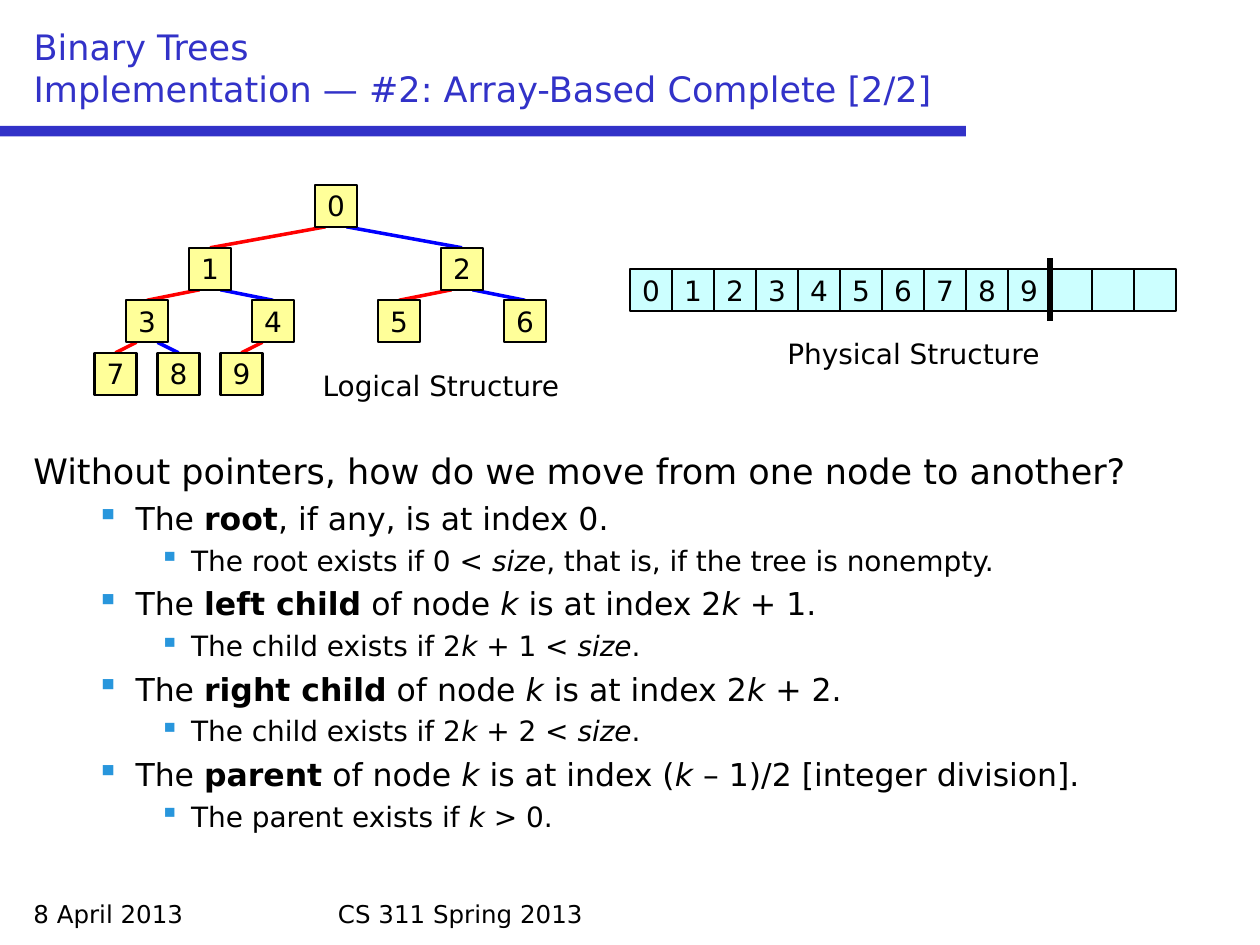
from dataclasses import dataclass

from lxml import etree
from pptx import Presentation
from pptx import util as u
from pptx.dml.color import RGBColor
from pptx.enum import shapes, text
from pptx.oxml import ns


@dataclass(frozen=True)
class Theme:
    font: str = "DejaVu Sans"
    ink: str = "000000"
    accent: str = "3232C8"
    bullet: str = "2896DC"
    node: str = "FFFF99"
    cell: str = "CCFFFF"
    left_edge: str = "FF0000"
    right_edge: str = "0000FF"
    heading: int = 20
    point: int = 18
    detail: int = 16
    label: int = 16
    footer: int = 14


THEME = Theme()
SIDE = 4  # side of a node or an array cell, in grid units
NODE_COUNT = 10
CELL_COUNT = 13
LEVEL_TOPS = (17.6, 23.6, 28.6, 33.6)

# Text size, left margin (cm), hanging indent (cm), space before (pt)
LEVELS = {
    1: (THEME.point, 2.06, 0.79, 4.2),
    2: (THEME.detail, 3.18, 0.64, 3.7),
}
# *bold* and _italic_
POINTS = [
    (1, "The *root*, if any, is at index 0."),
    (2, "The root exists if 0 < _size_, that is, if the tree is nonempty."),
    (1, "The *left child* of node _k_ is at index 2_k_ + 1."),
    (2, "The child exists if 2_k_ + 1 < _size_."),
    (1, "The *right child* of node _k_ is at index 2_k_ + 2."),
    (2, "The child exists if 2_k_ + 2 < _size_."),
    (1, "The *parent* of node _k_ is at index (_k_ – 1)/2 [integer division]."),
    (2, "The parent exists if _k_ > 0."),
]


def grid(count):
    """Length of a number of grid units; twelve units make 2.54 cm."""
    return u.Cm(count * 2.54 / 12)


def rgb(code):
    return RGBColor.from_string(code)


def write(para, content, size=THEME.label, color=THEME.ink, align=text.PP_ALIGN.LEFT):
    """Add text to a paragraph; *...* is bold and _..._ is italic."""
    para.alignment = align
    for i, part in enumerate(content.split("*")):
        for j, piece in enumerate(part.split("_")):
            if not piece:
                continue
            span = para.add_run()
            span.text = piece
            span.font.name = THEME.font
            span.font.size = u.Pt(size)
            span.font.color.rgb = rgb(color)
            span.font.bold = i % 2 == 1
            span.font.italic = j % 2 == 1


def add_title(page, first, second):
    title = page.shapes.title
    title.left, title.top = grid(2), grid(2)
    title.width, title.height = grid(116), grid(9)
    frame = title.text_frame
    frame.auto_size = text.MSO_AUTO_SIZE.NONE
    frame.vertical_anchor = text.MSO_ANCHOR.BOTTOM
    para = frame.paragraphs[0]
    write(para, first, size=THEME.heading, color=THEME.accent)
    para.add_line_break()
    # The break needs the title's size, or it would make its line taller
    line_break = para._p.findall(ns.qn("a:br"))[-1]
    etree.SubElement(line_break, ns.qn("a:rPr"), sz=str(THEME.heading * 100))
    write(para, second, size=THEME.heading, color=THEME.accent)


def add_text(page, content, left, top, width, height, **style):
    box = page.shapes.add_textbox(grid(left), grid(top), grid(width), grid(height))
    box.text_frame.word_wrap = True
    write(box.text_frame.paragraphs[0], content, **style)
    return box


def add_rect(page, left, top, width, height, fill, outlined=True):
    rect = page.shapes.add_shape(
        shapes.MSO_SHAPE.RECTANGLE, grid(left), grid(top), grid(width), grid(height))
    rect.shadow.inherit = False
    rect.fill.solid()
    rect.fill.fore_color.rgb = rgb(fill)
    if outlined:
        rect.line.color.rgb = rgb(THEME.ink)
        rect.line.width = u.Pt(1.25)
    else:
        rect.line.fill.background()
    return rect


def add_square(page, left, top, fill, content=""):
    square = add_rect(page, left, top, SIDE, SIDE, fill)
    frame = square.text_frame
    frame.word_wrap = False
    frame.vertical_anchor = text.MSO_ANCHOR.MIDDLE
    frame.margin_left = frame.margin_right = frame.margin_top = frame.margin_bottom = 0
    write(frame.paragraphs[0], content, align=text.PP_ALIGN.CENTER)
    return square


def add_line(page, start, end, color, width):
    line = page.shapes.add_connector(
        shapes.MSO_CONNECTOR.STRAIGHT, *map(grid, start + end))
    line.line.color.rgb = rgb(color)
    line.line.width = u.Pt(width)
    etree.SubElement(line._element.spPr, ns.qn("a:effectLst"))
    return line


def add_bullet(frame, level, content):
    size, margin, hanging, gap = LEVELS[level]
    para = frame.add_paragraph()
    para.level = level
    props = para._p.get_or_add_pPr()
    props.set("marL", str(u.Cm(margin)))
    props.set("indent", str(-u.Cm(hanging)))
    color = etree.SubElement(props, ns.qn("a:buClr"))
    etree.SubElement(color, ns.qn("a:srgbClr"), val=THEME.bullet)
    etree.SubElement(props, ns.qn("a:buChar"), char="▪")
    para.space_before = u.Pt(gap)
    write(para, content, size=size)


def add_tree(page):
    """Complete binary tree: the parent of node k is node (k - 1) // 2."""
    places = [(30, LEVEL_TOPS[0])]
    edges = []
    for k in range(1, NODE_COUNT):
        level = (k + 1).bit_length() - 1
        is_left = k % 2 == 1
        parent_left, parent_top = places[(k - 1) // 2]
        reach = 24 / 2 ** level
        left = parent_left + (-reach if is_left else reach)
        places.append((left, LEVEL_TOPS[level]))
        start = (parent_left + (1 if is_left else 3), parent_top + SIDE)
        color = THEME.left_edge if is_left else THEME.right_edge
        edges.append(add_line(page, start, (left + SIDE / 2, LEVEL_TOPS[level]), color, 2))
    nodes = [add_square(page, *place, THEME.node, str(k)) for k, place in enumerate(places)]
    for edge, child in zip(edges, nodes[1:]):
        edge.end_connect(child, 0)


def add_array(page, left=60, top=25.6):
    for k in range(CELL_COUNT):
        content = str(k) if k < NODE_COUNT else ""
        add_square(page, left + k * SIDE, top, THEME.cell, content)
    end = left + NODE_COUNT * SIDE
    add_line(page, (end, top - 1), (end, top + SIDE + 1), THEME.ink, 3)


def main():
    deck = Presentation()
    deck.slide_width, deck.slide_height = u.Cm(25.4), u.Cm(19.05)
    page = deck.slides.add_slide(deck.slide_layouts[5])

    add_rect(page, 0, 12, 92, 1, THEME.accent, outlined=False)
    add_title(page, "Binary Trees", "Implementation — #2: Array-Based Complete [2/2]")
    add_text(page, "8 April 2013", 2, 85, 28, 4, size=THEME.footer)
    add_text(page, "CS 311 Spring 2013", 31, 85, 58, 4, size=THEME.footer)

    body = add_text(page, "Without pointers, how do we move from one node to another?",
                    2, 42.25, 116, 41.75, size=THEME.heading)
    for level, content in POINTS:
        add_bullet(body.text_frame, level, content)

    add_array(page)
    add_tree(page)
    add_text(page, "Logical Structure", 28, 34.5, 28, 4.4, align=text.PP_ALIGN.CENTER)
    add_text(page, "Physical Structure", 73, 31.5, 28, 4.4, align=text.PP_ALIGN.CENTER)

    deck.save("out.pptx")


if __name__ == "__main__":
    main()
